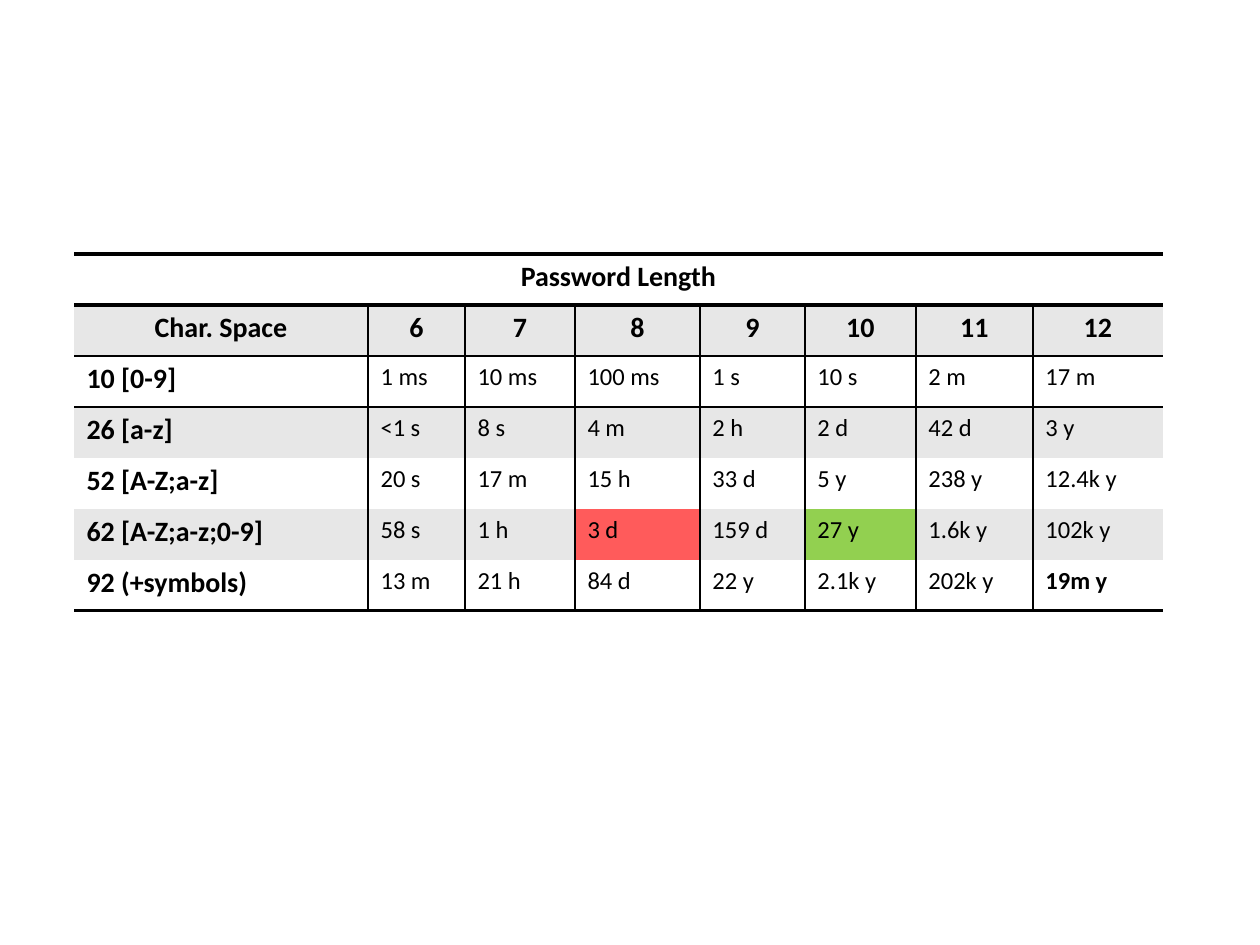
from lxml.etree import SubElement
from pptx import Presentation
from pptx.dml.color import RGBColor
from pptx.enum.text import PP_ALIGN as AL
from pptx.oxml.ns import qn
from pptx.util import Emu, Pt

BLACK = RGBColor(0x00, 0x00, 0x00)
WHITE = RGBColor(0xFF, 0xFF, 0xFF)
GRAY = RGBColor(0xE7, 0xE7, 0xE7)
RED = RGBColor(0xFF, 0x5B, 0x5B)
GREEN = RGBColor(0x92, 0xD0, 0x50)

TITLE = "Password Length"
ROWS = [
    ["Char. Space", "6", "7", "8", "9", "10", "11", "12"],
    ["10 [0-9]", "1 ms", "10 ms", "100 ms", "1 s", "10 s", "2 m", "17 m"],
    ["26 [a-z]", "<1 s", "8 s", "4 m", "2 h", "2 d", "42 d", "3 y"],
    ["52 [A-Z;a-z]", "20 s", "17 m", "15 h", "33 d", "5 y", "238 y", "12.4k y"],
    ["62 [A-Z;a-z;0-9]", "58 s", "1 h", "3 d", "159 d", "27 y", "1.6k y", "102k y"],
    ["92 (+symbols)", "13 m", "21 h", "84 d", "22 y", "2.1k y", "202k y", "19m y"],
]
COL_WIDTHS = [294, 97, 110, 125, 105, 111, 117, 130]
ROW_HEIGHT = 51
RULES = [2, 2, 1, 1, 0, 0, 0, 2]
HIGHLIGHTS = {"3 d": RED, "27 y": GREEN}
BOLD_VALUES = {"19m y"}
HEADING = {"size": Pt(16), "bold": True}
VALUE = {"size": Pt(14), "bold": False}


class Deck:
    font = {"name": "Calibri"}

    def __init__(self, width, height):
        self.prs = Presentation()
        self.prs.slide_width = self.px(width)
        self.prs.slide_height = self.px(height)
        self.s = self.prs.slides.add_slide(self.prs.slide_layouts[6])

    def px(self, n):
        return Emu(round(n * 914400 / 126))

    def table(self, x, y, widths, height, n_rows):
        size = (self.px(v) for v in (x, y, sum(widths), height * n_rows))
        tbl = self.s.shapes.add_table(n_rows, len(widths), *size).table
        tbl.first_row = tbl.horz_banding = False
        for col, width in zip(tbl.columns, widths):
            col.width = self.px(width)
        for row in tbl.rows:
            row.height = self.px(height)
        return tbl

    def cell(self, cell, text, fill, fmt, align):
        cell.fill.solid()
        cell.fill.fore_color.rgb = fill
        p = cell.text_frame.paragraphs[0]
        p.alignment = align
        r = p.add_run()
        r.text = text
        for key, value in {**self.font, **fmt}.items():
            setattr(r.font, key, value)
        r.font.color.rgb = BLACK

    def borders(self, cell, left, right, top, bottom):
        pr = cell._tc.get_or_add_tcPr()
        for i, (side, width) in enumerate(zip("LRTB", (left, right, top, bottom))):
            ln = SubElement(pr, qn(f"a:ln{side}"), w=str(Pt(width)))
            pr.insert(i, ln)
            if width:
                fill = SubElement(ln, qn("a:solidFill"))
                SubElement(fill, qn("a:srgbClr"), val=str(BLACK))
            else:
                SubElement(ln, qn("a:noFill"))


def main():
    deck = Deck(1260, 945)
    n_cols = len(COL_WIDTHS)
    tbl = deck.table(74, 254, COL_WIDTHS, ROW_HEIGHT, len(ROWS) + 1)
    tbl.cell(0, 0).merge(tbl.cell(0, n_cols - 1))
    deck.cell(tbl.cell(0, 0), TITLE, WHITE, HEADING, AL.CENTER)

    for i, row in enumerate(ROWS, 1):
        band = GRAY if i % 2 else WHITE
        align = AL.CENTER if i == 1 else AL.LEFT
        for j, text in enumerate(row):
            fmt = HEADING if i == 1 or j == 0 else VALUE
            if text in BOLD_VALUES:
                fmt = {**fmt, "bold": True}
            deck.cell(tbl.cell(i, j), text, HIGHLIGHTS.get(text, band), fmt, align)

    for i in range(len(ROWS) + 1):
        for j in range(n_cols):
            left = int(i > 0 and j > 0)
            right = int(i > 0 and j < n_cols - 1)
            deck.borders(tbl.cell(i, j), left, right, RULES[i], RULES[i + 1])

    deck.prs.save("out.pptx")


if __name__ == "__main__":
    main()
